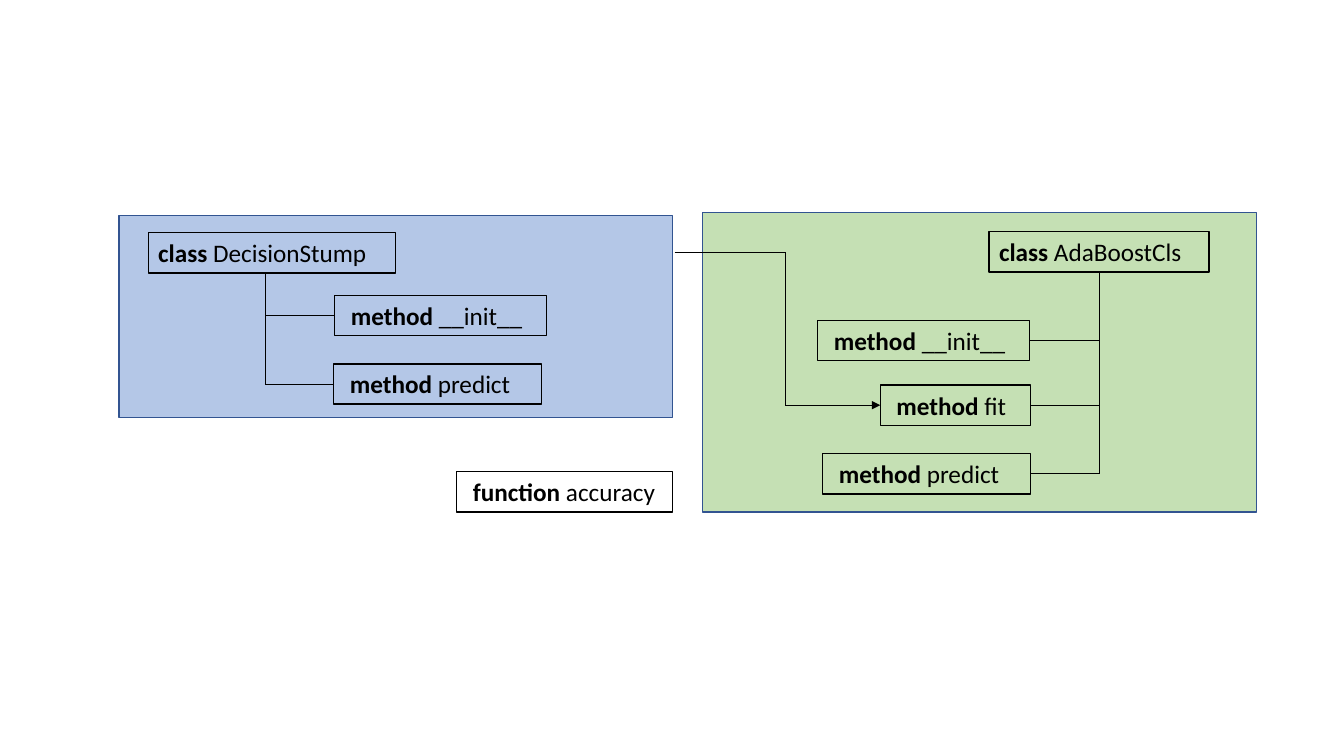
from lxml.etree import SubElement
from pptx import Presentation
from pptx.dml.color import RGBColor
from pptx.enum.shapes import MSO_CONNECTOR, MSO_SHAPE
from pptx.enum.text import MSO_AUTO_SIZE
from pptx.oxml.ns import qn
from pptx.util import Inches, Pt

BLACK = RGBColor(0x00, 0x00, 0x00)
BLUE = RGBColor(0xB4, 0xC7, 0xE7)
GREEN = RGBColor(0xC5, 0xE0, 0xB4)
BORDER = RGBColor(0x32, 0x54, 0x91)

LABEL_HEIGHT = 0.4
CLASS_INSET = 0.1
MEMBER_INSET = 0.16


def add_panel(page, left, top, width, height, color):
    """Add the coloured background of one class."""
    panel = page.shapes.add_shape(
        MSO_SHAPE.RECTANGLE, Inches(left), Inches(top), Inches(width), Inches(height))
    panel.shadow.inherit = False
    panel.fill.solid()
    panel.fill.fore_color.rgb = color
    panel.line.color.rgb = BORDER
    panel.line.width = Pt(1)


def add_label(page, left, top, width, keyword, name, inset=MEMBER_INSET):
    """Add an outlined label: a bold keyword followed by a name."""
    box = page.shapes.add_textbox(
        Inches(left), Inches(top), Inches(width), Inches(LABEL_HEIGHT))
    box.line.color.rgb = BLACK
    box.line.width = Pt(1)
    frame = box.text_frame
    frame.word_wrap = True
    frame.auto_size = MSO_AUTO_SIZE.SHAPE_TO_FIT_TEXT
    frame.margin_left = Inches(inset)
    para = frame.paragraphs[0]
    for text, bold in ((keyword + " ", True), (name, False)):
        span = para.add_run()
        span.text = text
        span.font.name = "Calibri"
        span.font.size = Pt(18)
        span.font.bold = bold
        span.font.color.rgb = BLACK


def add_line(page, start, end, arrow=False):
    """Add a thin straight line, with an arrowhead at its end if asked."""
    points = [Inches(value) for value in (*start, *end)]
    line = page.shapes.add_connector(MSO_CONNECTOR.STRAIGHT, *points)
    line.line.color.rgb = BLACK
    line.line.width = Pt(0.5)
    properties = line._element.spPr
    if arrow:
        SubElement(properties.find(qn("a:ln")), qn("a:tailEnd"), type="triangle")
    SubElement(properties, qn("a:effectLst"))


def add_members(page, trunk, class_bottom, methods, on_left):
    """Add the methods of a class and the tree of lines that joins them to it."""
    for left, top, width, name in methods:
        add_label(page, left, top, width, "method", name)
        middle = top + LABEL_HEIGHT / 2
        edge = left + width if on_left else left
        add_line(page, (trunk, middle), (edge, middle))
    add_line(page, (trunk, class_bottom), (trunk, middle))


def main():
    """Build the class diagram and save it."""
    deck = Presentation()
    deck.slide_width, deck.slide_height = Inches(13.33), Inches(7.5)
    page = deck.slides.add_slide(deck.slide_layouts[6])

    add_panel(page, 6.97, 2.11, 5.49, 2.97, GREEN)
    add_panel(page, 1.18, 2.14, 5.49, 2, BLUE)

    add_label(page, 1.47, 2.31, 2.45, "class", "DecisionStump", CLASS_INSET)
    stump_methods = [(3.32, 2.93, 2.1, "__init__"), (3.31, 3.61, 2.06, "predict")]
    add_members(page, 2.63, 2.71, stump_methods, on_left=False)

    add_label(page, 9.81, 2.3, 2.18, "class", "AdaBoostCls", CLASS_INSET)
    boost_methods = [(8.11, 3.18, 2.1, "__init__"), (8.73, 3.82, 1.49, "fit"),
                     (8.16, 4.5, 2.06, "predict")]
    add_members(page, 10.9, 2.7, boost_methods, on_left=True)

    add_label(page, 4.53, 4.68, 2.14, "function", "accuracy")

    stump_to_fit = [(6.69, 2.5), (7.79, 2.5), (7.79, 4.02), (8.73, 4.02)]
    for start, end in zip(stump_to_fit, stump_to_fit[1:]):
        add_line(page, start, end, arrow=end == stump_to_fit[-1])

    deck.save("out.pptx")


main()
